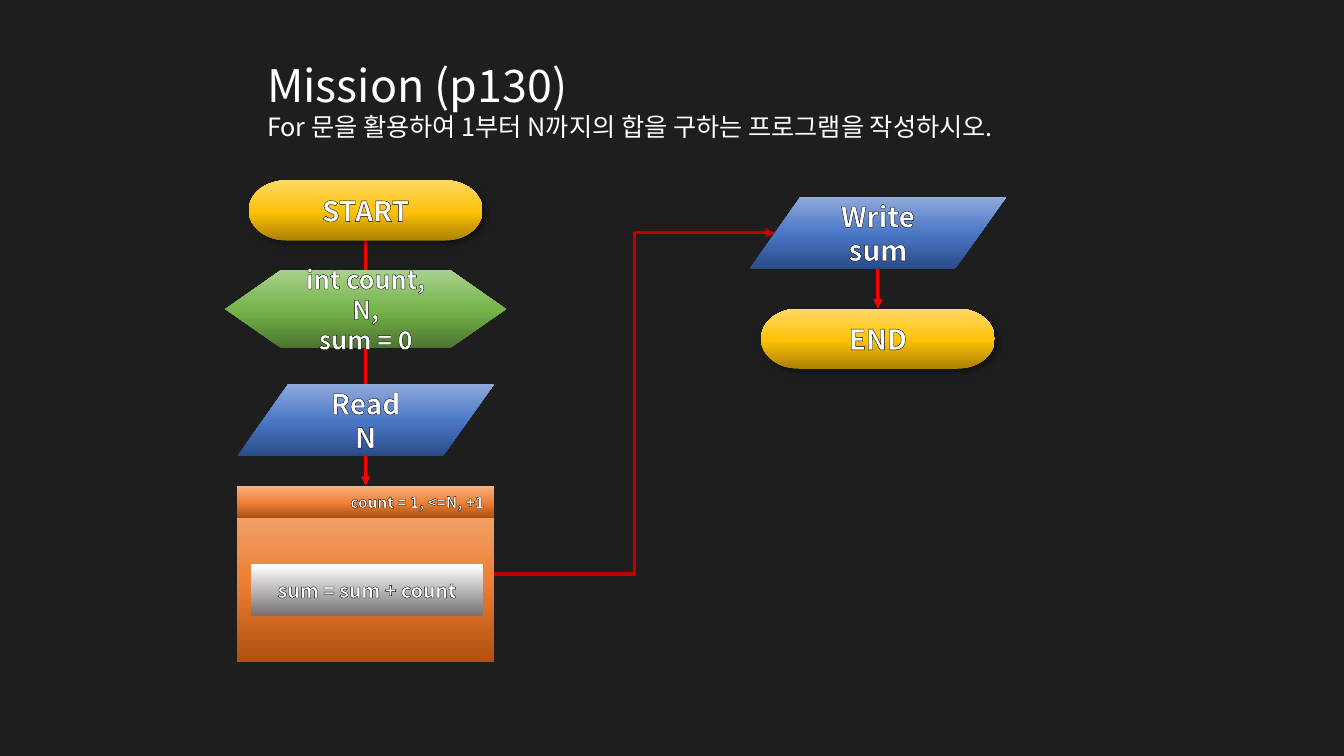
from dataclasses import dataclass

from lxml import etree
from pptx import Presentation
from pptx.dml.color import RGBColor
from pptx.enum.shapes import MSO_CONNECTOR, MSO_SHAPE
from pptx.enum.text import MSO_ANCHOR, MSO_AUTO_SIZE, PP_ALIGN
from pptx.oxml import parse_xml
from pptx.oxml.ns import nsdecls, qn
from pptx.util import Pt

TERMINATOR = MSO_SHAPE.FLOWCHART_TERMINATOR
PREPARATION = MSO_SHAPE.FLOWCHART_PREPARATION
DATA = MSO_SHAPE.FLOWCHART_DATA
PROCESS = MSO_SHAPE.FLOWCHART_PROCESS
STRAIGHT, ELBOW = MSO_CONNECTOR.STRAIGHT, MSO_CONNECTOR.ELBOW
LEFT, CENTER, RIGHT = PP_ALIGN.LEFT, PP_ALIGN.CENTER, PP_ALIGN.RIGHT
TOP, MIDDLE = MSO_ANCHOR.TOP, MSO_ANCHOR.MIDDLE
FIT_SHAPE = MSO_AUTO_SIZE.SHAPE_TO_FIT_TEXT


@dataclass(frozen=True)
class Theme:
    """Colours, gradients, font and type sizes of the slide."""
    font: str = "Noto Sans CJK KR"
    back: str = "1E1E1E"
    text: str = "FFFFFF"
    outline: str = "000000"
    flow: str = "FF0000"
    exit: str = "C00000"
    gold: tuple = ((0, "AB8100"), (48, "FFC208"), (100, "FFD966"))
    green: tuple = ((0, "4B7430"), (48, "74B349"), (100, "A9D18E"))
    blue: tuple = ((0, "2A4B86"), (48, "4A76C6"), (100, "8FAADC"))
    orange: tuple = ((0, "B0500F"), (48, "EE8137"), (100, "F4B183"))
    grey: tuple = ((0, "767171"), (100, "FFFFFF"))
    title: int = 32
    node: int = 20
    body: int = 18
    step: int = 14
    small: int = 11
    line: float = 2.25


T = Theme()


def write(tf, lines, align, bold=False):
    """Write (text, size) lines as paragraphs of a text frame."""
    for i, (text, size) in enumerate(lines):
        p = tf.paragraphs[0] if i == 0 else tf.add_paragraph()
        p.alignment = align
        r = p.add_run()
        r.text = text
        for name, value in {"name": T.font, "size": Pt(size), "bold": bold}.items():
            setattr(r.font, name, value)
        r.font.color.rgb = RGBColor.from_string(T.text)
        rpr = r.font._element
        etree.SubElement(rpr, qn("a:ea"), typeface=T.font)
        if bold:
            rpr.insert(0, parse_xml(
                f'<a:ln {nsdecls("a")} w="9525"><a:solidFill>'
                f'<a:srgbClr val="{T.outline}"/></a:solidFill></a:ln>'))


def node(s, kind, box, stops, lines=(), size=T.node, align=CENTER):
    """Draw a gradient flowchart node in the box."""
    sp = s.shapes.add_shape(kind, *map(Pt, box))
    sp.line.fill.background()
    sp.shadow.inherit = False
    spPr = sp._element.spPr
    gs = "".join(f'<a:gs pos="{pos * 1000}"><a:srgbClr val="{rgb}"/></a:gs>'
                 for pos, rgb in stops)
    spPr.insert(2, parse_xml(
        f'<a:gradFill {nsdecls("a")} rotWithShape="1"><a:gsLst>{gs}</a:gsLst>'
        '<a:lin ang="16200000" scaled="0"/></a:gradFill>'))
    if kind == TERMINATOR:
        spPr.find(qn("a:effectLst")).append(parse_xml(
            f'<a:outerShdw {nsdecls("a")} blurRad="50800" dist="38100" dir="2700000">'
            f'<a:srgbClr val="{T.outline}"><a:alpha val="40000"/></a:srgbClr></a:outerShdw>'))
    tf = sp.text_frame
    for name, value in {"word_wrap": True, "vertical_anchor": MIDDLE}.items():
        setattr(tf, name, value)
    write(tf, [(line, size) for line in lines], align, bold=True)


def arrow(s, kind, start, end, color):
    """Draw an arrow from start to end."""
    c = s.shapes.add_connector(kind, *map(Pt, (*start, *end)))
    c.line.width = Pt(T.line)
    c.line.color.rgb = RGBColor.from_string(color)
    etree.SubElement(c.line._get_or_add_ln(), qn("a:tailEnd"), type="triangle")
    etree.SubElement(c._element.spPr, qn("a:effectLst"))


def heading(s, box):
    """Place the title and the task below it in the title placeholder."""
    sp = s.shapes.title
    for name, value in zip(("left", "top", "width", "height"), box):
        setattr(sp, name, Pt(value))
    tf = sp.text_frame
    for name, value in {"word_wrap": False, "auto_size": FIT_SHAPE,
                        "vertical_anchor": TOP}.items():
        setattr(tf, name, value)
    write(tf, [("Mission (p130)", T.title),
               ("For 문을 활용하여 1부터 N까지의 합을 구하는 프로그램을 작성하시오.", T.body)], LEFT)


def loop(s, box):
    """Draw the loop block with its condition bar and inner step."""
    x, y, w, h = box
    node(s, PROCESS, box, T.orange)
    node(s, PROCESS, (x, y, w, 23), T.orange, ["count = 1, <=N, +1"], T.small, RIGHT)
    node(s, PROCESS, (x + 10, y + 56.2, w - 18, 36.6), T.grey,
         ["sum = sum + count"], T.step)


def input_flow(s, box):
    """Draw the left column, from START to the loop."""
    x, y, w, h = box
    cx, loop_h = x + w / 2, 126
    loop_y = y + h - loop_h
    arrow(s, STRAIGHT, (cx, y + 43), (cx, loop_y), T.flow)
    for kind, dy, nw, nh, stops, lines, size in (
            (TERMINATOR, 0, 167, 43, T.gold, ["START"], T.node),
            (PREPARATION, 64, w, 56, T.green, ["int count, N,", "sum = 0"], T.body),
            (DATA, 145.4, 183.6, 51.8, T.blue, ["Read", "N"], T.node)):
        node(s, kind, (cx - nw / 2, y + dy, nw, nh), stops, lines, size)
    loop(s, (cx - 91.8, loop_y, 183.6, loop_h))


def output_flow(s, box):
    """Draw the right column, from the output to END."""
    x, y, w, h = box
    cx, data_h, end_w, end_h = x + w / 2, 51.8, 167, 43
    end_y = y + h - end_h
    node(s, DATA, (x, y, w, data_h), T.blue, ["Write", "sum"])
    node(s, TERMINATOR, (cx - end_w / 2, end_y, end_w, end_h), T.gold, ["END"])
    arrow(s, STRAIGHT, (cx, y + data_h), (cx, end_y), T.flow)


def main():
    """Build the slide and save it."""
    prs = Presentation()
    prs.slide_width, prs.slide_height = Pt(960), Pt(540)
    s = prs.slides.add_slide(prs.slide_layouts[5])
    fill = s.background.fill
    fill.solid()
    fill.fore_color.rgb = RGBColor.from_string(T.back)
    heading(s, (183.6, 37.4, 592.6, 67.7))
    input_flow(s, (161, 128.8, 200.4, 344.2))
    output_flow(s, (535.3, 140.4, 183.6, 123))
    arrow(s, ELBOW, (353, 410), (553.6, 166.3), T.exit)
    prs.save("out.pptx")


if __name__ == "__main__":
    main()
